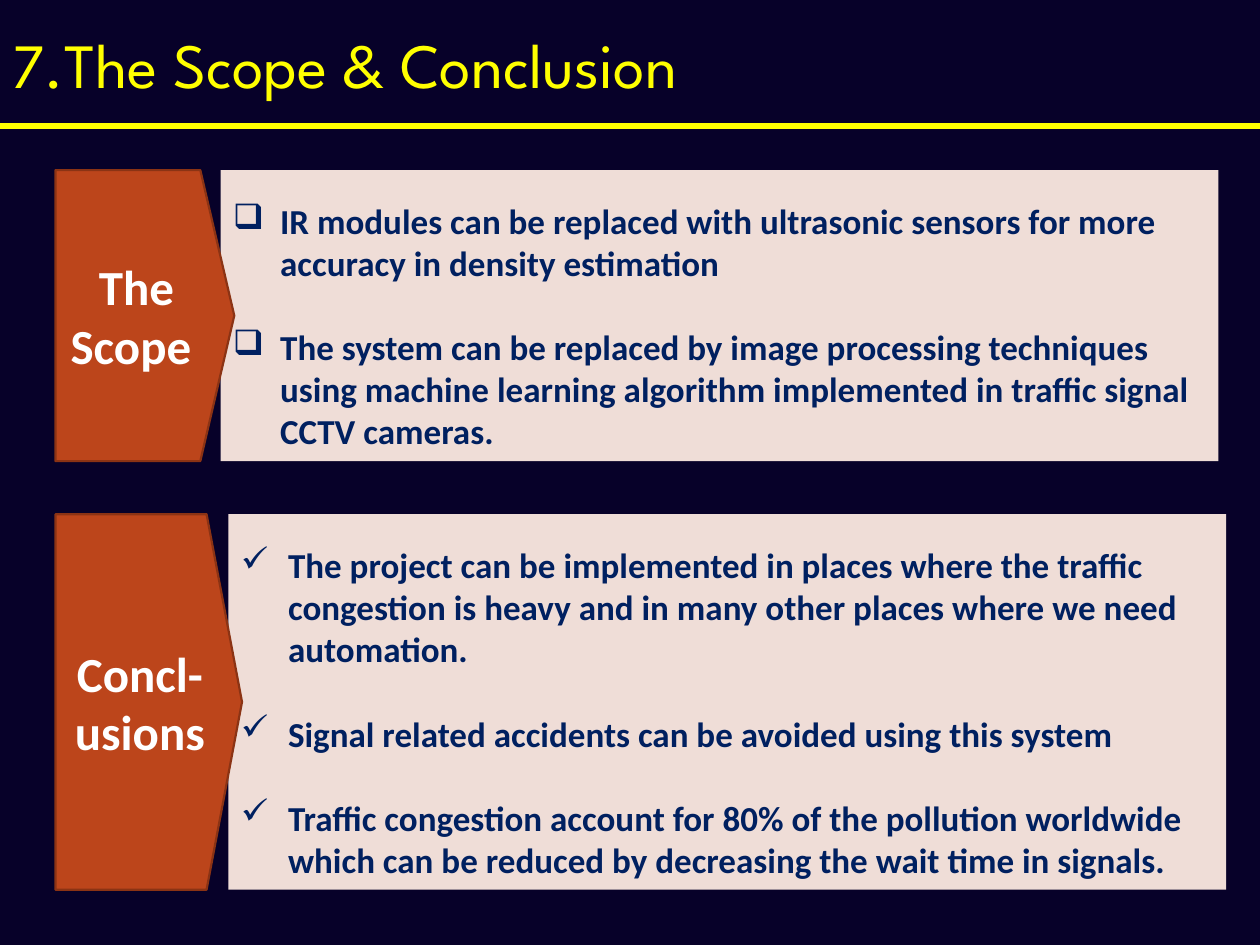
from lxml import etree
from pptx import Presentation
from pptx.dml.color import RGBColor
from pptx.enum.shapes import MSO_CONNECTOR, MSO_SHAPE
from pptx.enum.text import MSO_ANCHOR, PP_ALIGN
from pptx.oxml.ns import qn
from pptx.util import Pt

STRAIGHT = MSO_CONNECTOR.STRAIGHT
RECTANGLE = MSO_SHAPE.RECTANGLE
PENTAGON = MSO_SHAPE.PENTAGON
TOP = MSO_ANCHOR.TOP
MIDDLE = MSO_ANCHOR.MIDDLE
LEFT = PP_ALIGN.LEFT
CENTER = PP_ALIGN.CENTER

NIGHT = RGBColor(0x07, 0x01, 0x29)
YELLOW = RGBColor(0xFF, 0xFF, 0x00)
BLUSH = RGBColor(0xEF, 0xDD, 0xD7)
RUST = RGBColor(0xBC, 0x45, 0x1B)
BROWN = RGBColor(0x8B, 0x33, 0x14)
NAVY = RGBColor(0x00, 0x20, 0x60)
WHITE = RGBColor(0xFF, 0xFF, 0xFF)

TITLE_FONT = "League Spartan"
BODY_FONT = "Calibri"
SLIDE_WIDTH, SLIDE_HEIGHT = 720, 540
TITLE_HEIGHT = 72
LABEL_LEFT = 31.7
PANEL_WIDTH = 570.2

SECTIONS = [
    ("The Scope ", 97.2, 166.3, 126, 102.2, "❑", [
        "IR modules can be replaced with ultrasonic sensors for more accuracy in density estimation",
        "The system can be replaced by image processing techniques using machine learning "
        "algorithm implemented in traffic signal CCTV cameras.",
    ]),
    ("Concl-usions", 293.8, 214.6, 130.5, 106.6, "✓", [
        "The project can be implemented in places where the traffic congestion is heavy "
        "and in many other places where we need automation.",
        "Signal related accidents can be avoided using this system",
        "Traffic congestion account for 80% of the pollution worldwide which can be reduced "
        "by decreasing the wait time in signals.",
    ]),
]


class SlideBuilder:
    """Draws the titled bands of one slide in a shared style."""

    def __init__(self, deck):
        self.slide = deck.slides.add_slide(deck.slide_layouts[6])
        fill = self.slide.background.fill
        fill.solid()
        fill.fore_color.rgb = NIGHT

    def add_text(self, para, text, font, size, color, bold, align=LEFT):
        para.alignment = align
        span = para.add_run()
        span.text = text
        span.font.name = font
        span.font.size = Pt(size)
        span.font.bold = bold
        span.font.color.rgb = color

    def title(self, text):
        box = self.slide.shapes.add_textbox(0, 0, Pt(SLIDE_WIDTH), Pt(TITLE_HEIGHT))
        frame = box.text_frame
        frame.word_wrap = True
        frame.vertical_anchor = MIDDLE
        self.add_text(frame.paragraphs[0], text, TITLE_FONT, 36, YELLOW, False)

    def rule(self, start, end, top):
        line = self.slide.shapes.add_connector(STRAIGHT, Pt(start), Pt(top), Pt(end), Pt(top))
        line.line.color.rgb = YELLOW
        line.line.width = Pt(3)
        etree.SubElement(line._element.spPr, qn("a:effectLst"))

    def block(self, kind, left, top, width, height, color, anchor):
        box = self.slide.shapes.add_shape(kind, Pt(left), Pt(top), Pt(width), Pt(height))
        box.shadow.inherit = False
        box.fill.solid()
        box.fill.fore_color.rgb = color
        box.text_frame.word_wrap = True
        box.text_frame.vertical_anchor = anchor
        return box

    def bullet(self, para, mark):
        properties = para._p.get_or_add_pPr()
        properties.set("marL", str(Pt(27)))
        properties.set("indent", str(-Pt(27)))
        etree.SubElement(properties, qn("a:buChar")).set("char", mark)

    def panel(self, left, top, height, mark, items):
        box = self.block(RECTANGLE, left, top, PANEL_WIDTH, height, BLUSH, TOP)
        box.line.fill.background()
        frame = box.text_frame
        frame.margin_top = Pt(17)
        for index, item in enumerate(items):
            para = frame.add_paragraph() if index else frame.paragraphs[0]
            para.space_before = Pt(24 if index else 0)
            self.bullet(para, mark)
            self.add_text(para, item, BODY_FONT, 20, NAVY, True)

    def label(self, text, top, width, height):
        box = self.block(PENTAGON, LABEL_LEFT, top, width, height, RUST, MIDDLE)
        box.adjustments[0] = 0.19
        box.line.color.rgb = BROWN
        box.line.width = Pt(1.25)
        self.add_text(box.text_frame.paragraphs[0], text, BODY_FONT, 28, WHITE, True, CENTER)


def main():
    deck = Presentation()
    deck.slide_width, deck.slide_height = Pt(SLIDE_WIDTH), Pt(SLIDE_HEIGHT)
    page = SlideBuilder(deck)
    page.title("7.The Scope & Conclusion")
    page.rule(-12, 726, TITLE_HEIGHT)
    for name, top, height, panel_left, label_width, mark, items in SECTIONS:
        page.panel(panel_left, top, height, mark, items)
        page.label(name, top, label_width, height)
    deck.save("out.pptx")


if __name__ == "__main__":
    main()
